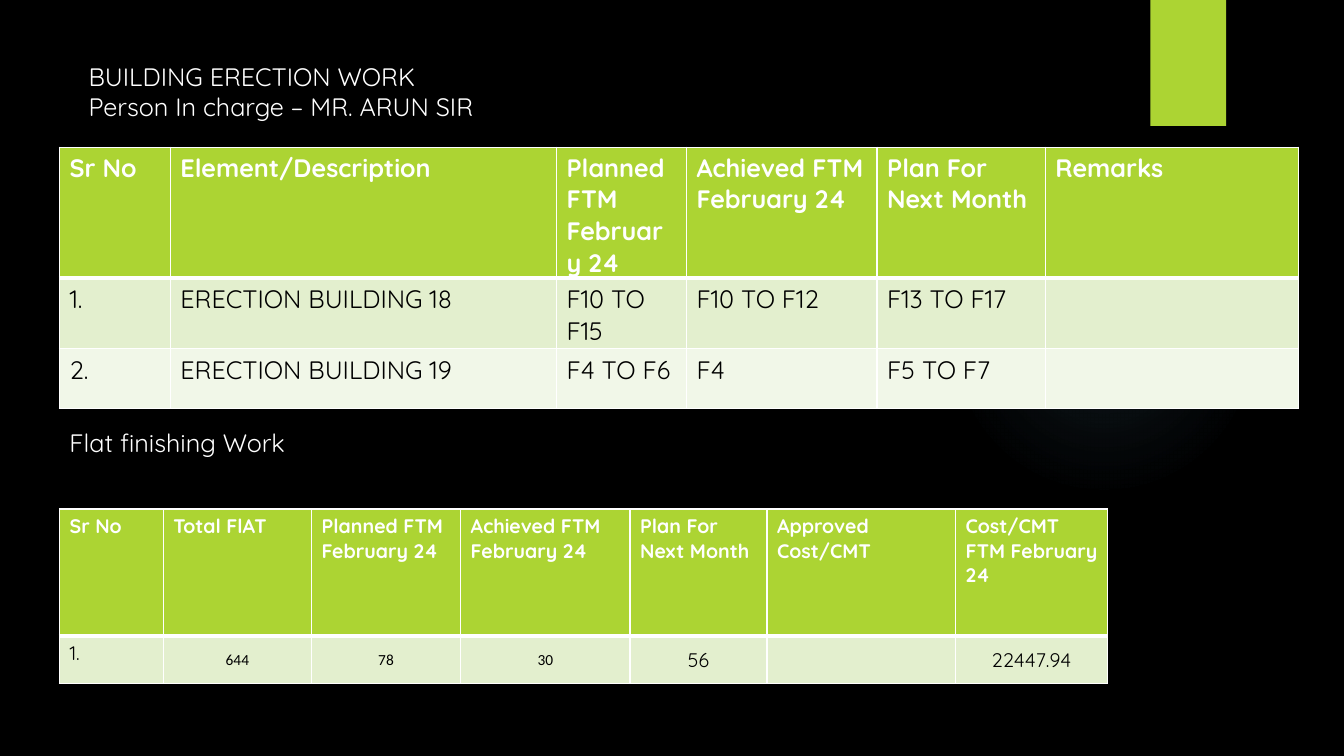
from lxml import etree
from pptx import Presentation
from pptx.dml.color import RGBColor
from pptx.enum.shapes import MSO_SHAPE as Shape
from pptx.enum.text import MSO_ANCHOR as Anchor, PP_ALIGN as Align
from pptx.oxml import parse_xml
from pptx.oxml.ns import nsdecls, qn
from pptx.util import Pt

BLACK, WHITE, LIME = "000000", "FFFFFF", "ACD433"
ROW_TINTS = ["E3EFCE", "F1F7E8"]


def paint(fill, colour):
    fill.solid()
    fill.fore_color.rgb = RGBColor.from_string(colour)


def write(text_frame, text, size=18, font="Quicksand", colour=WHITE, bold=False, align=Align.LEFT):
    paragraph = text_frame.paragraphs[0]
    paragraph.text = text
    paragraph.alignment = align
    for run in paragraph.runs:
        run.font.size = Pt(size)
        run.font.name = font
        run.font.bold = bold
        paint(run.font.fill, colour)


presentation = Presentation()
presentation.slide_width, presentation.slide_height = Pt(960), Pt(540)
slide = presentation.slides.add_slide(presentation.slide_layouts[6])
paint(slide.background.fill, BLACK)

# Background glow and corner tab
glow = slide.shapes.add_shape(Shape.OVAL, Pt(677.5), Pt(131.8), Pt(221.8), Pt(221.8))
glow.shadow.inherit = False
glow.line.fill.background()
stops = "".join(
    f'<a:gs pos="{position * 1000}"><a:srgbClr val="7AC4F0"><a:alpha val="{opacity * 1000}"/></a:srgbClr></a:gs>'
    for position, opacity in [(0, 7), (36, 6), (69, 0)]
)
glow.element.spPr.find(qn("a:prstGeom")).addnext(parse_xml(
    f'<a:gradFill {nsdecls("a")}><a:gsLst>{stops}</a:gsLst><a:path path="circle">'
    '<a:fillToRect l="50000" t="50000" r="50000" b="50000"/></a:path></a:gradFill>'
))

tab = slide.shapes.add_shape(Shape.RECTANGLE, Pt(821.8), 0, Pt(54), Pt(90))
tab.shadow.inherit = False
paint(tab.fill, LIME)
tab.line.fill.background()
shadow = etree.SubElement(
    tab.element.spPr.find(qn("a:effectLst")), qn("a:outerShdw"),
    blurRad=str(Pt(3)), dist=str(Pt(2)), dir="5400000", rotWithShape="0",
)
shadow_colour = etree.SubElement(shadow, qn("a:srgbClr"), val=BLACK)
etree.SubElement(shadow_colour, qn("a:alpha"), val="45000")

# Headings
for text, left, top, height in [
    ("BUILDING ERECTION WORK\vPerson In charge – MR. ARUN SIR", 56.2, 40.3, 51.1),
    ("Flat finishing Work", 42.5, 301.7, 28.8),
]:
    heading = slide.shapes.add_textbox(Pt(left), Pt(top), Pt(480), Pt(height))
    heading.text_frame.word_wrap = True
    write(heading.text_frame, text)

# Tables; the last entry gives the columns whose figures are centred, with their size and font
erection = (
    105.1, 194.4, 18, [79.2, 275.8, 92.9, 136.1, 120.2, 180.7], [79.2, 42.5, 42.5],
    [
        ["Sr No", "Element/Description", "Planned FTM February 24", "Achieved FTM February 24",
         "Plan For Next Month", "Remarks"],
        ["1.", "ERECTION BUILDING 18", "F10 TO F15", "F10 TO F12", "F13 TO F17", ""],
        ["2.", "ERECTION BUILDING 19", "F4 TO F6", "F4", "F5 TO F7", ""],
    ],
    {},
)
small, normal = (11, "Calibri"), (14, "Quicksand")
finishing = (
    363.6, 124.5, 14, [74.2, 105.8, 106.6, 121, 97.9, 134.6, 108.7], [90.7, 33.8],
    [
        ["Sr No", "Total FlAT", "Planned FTM February 24", "Achieved FTM February 24",
         "Plan For Next Month", "Approved Cost/CMT", "Cost/CMT FTM February 24"],
        ["1.", "644", "78", "30", "56", "", "22447.94"],
    ],
    {1: small, 2: small, 3: small, 4: normal, 6: normal},
)

for top, height, size, widths, heights, rows, figures in [erection, finishing]:
    frame = slide.shapes.add_table(
        len(rows), len(widths), Pt(42.5), Pt(top), Pt(sum(widths)), Pt(height))
    table = frame.table
    for column, width in zip(table.columns, widths):
        column.width = Pt(width)
    for row, row_height in zip(table.rows, heights):
        row.height = Pt(row_height)
    frame.height = Pt(height)

    for row_index, texts in enumerate(rows):
        header = row_index == 0
        for column_index, text in enumerate(texts):
            cell = table.cell(row_index, column_index)
            properties = cell._tc.get_or_add_tcPr()
            for side in ["L", "R", "T", "B"]:
                thick = (header and side == "B") or (row_index == 1 and side == "T")
                properties.append(parse_xml(
                    f'<a:ln{side} {nsdecls("a")} w="{Pt(3 if thick else 1)}">'
                    f'<a:solidFill><a:srgbClr val="{WHITE}"/></a:solidFill></a:ln{side}>'
                ))
            paint(cell.fill, LIME if header else ROW_TINTS[row_index - 1])
            if header:
                write(cell.text_frame, text, size, bold=True)
            elif column_index in figures:
                figure_size, font = figures[column_index]
                write(cell.text_frame, text, figure_size, font, BLACK, align=Align.CENTER)
                cell.vertical_anchor = Anchor.MIDDLE
                if column_index != 4:
                    cell.margin_left = cell.margin_right = cell.margin_top = Pt(0.72)
                    cell.margin_bottom = 0
            else:
                write(cell.text_frame, text, size, colour=BLACK)

presentation.save("out.pptx")
